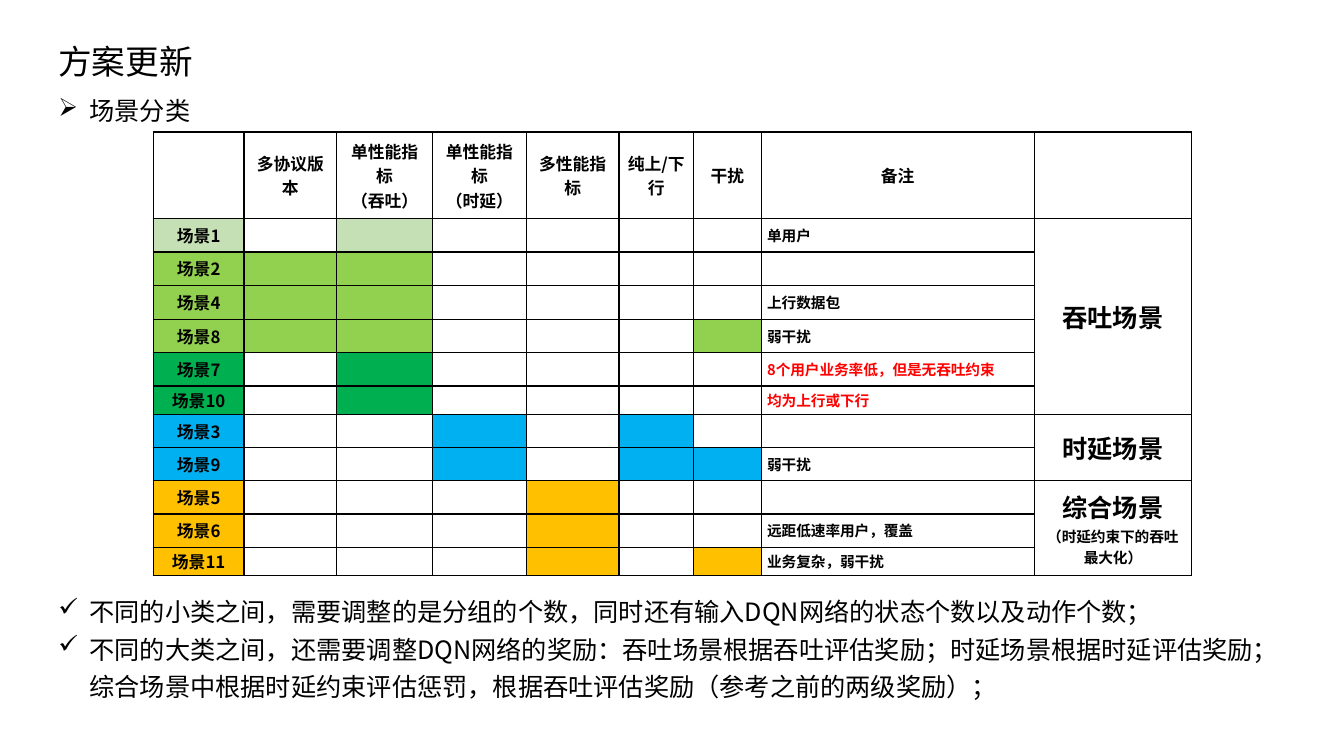
import pptx
import pptx.dml.color
import pptx.enum.text
import pptx.oxml.ns
import pptx.util
from lxml import etree

PX = 9144  # EMU per px, 100 px to the inch
FONT = "Noto Sans CJK SC"
RGBColor = pptx.dml.color.RGBColor
BLACK = RGBColor(0x00, 0x00, 0x00)
RED = RGBColor(0xFF, 0x00, 0x00)
PALE_GREEN = RGBColor(0xC5, 0xE0, 0xB4)
LIGHT_GREEN = RGBColor(0x92, 0xD0, 0x50)
GREEN = RGBColor(0x00, 0xB0, 0x50)
BLUE = RGBColor(0x00, 0xB0, 0xF0)
AMBER = RGBColor(0xFF, 0xC0, 0x00)
CENTER = pptx.enum.text.PP_ALIGN.CENTER
LEFT = pptx.enum.text.PP_ALIGN.LEFT
qn = pptx.oxml.ns.qn


def write(paragraph, text, size, bold=False, color=BLACK):
    paragraph.text = text
    for run in paragraph.runs:
        run.font.name = FONT
        run.font.size = pptx.util.Pt(size)
        run.font.bold = bold
        run.font.color.rgb = color
        etree.SubElement(run.font._element, qn("a:ea"), typeface=FONT)
    if not text:
        etree.SubElement(paragraph._p, qn("a:endParaRPr"), sz=str(int(size * 100)))


def add_text(left, top, width, height, lines, size, bullet=None, spacing=None, wrap=True):
    box = slide.shapes.add_textbox(left * PX, top * PX, width * PX, height * PX)
    frame = box.text_frame
    frame.word_wrap = wrap
    frame.auto_size = pptx.enum.text.MSO_AUTO_SIZE.SHAPE_TO_FIT_TEXT
    for index, line in enumerate(lines):
        paragraph = frame.add_paragraph() if index else frame.paragraphs[0]
        write(paragraph, line, size)
        if spacing:
            paragraph.line_spacing = spacing
        if bullet:
            properties = paragraph._p.get_or_add_pPr()
            properties.set("marL", str(31 * PX))
            properties.set("indent", str(-31 * PX))
            etree.SubElement(properties, qn("a:buChar"), char=bullet)


presentation = pptx.Presentation()
presentation.slide_width = 1333 * PX
presentation.slide_height = 750 * PX
slide = presentation.slides.add_slide(presentation.slide_layouts[6])

# Title
add_text(48, 36, 379, 50, ["方案更新"], 24)

# Table content: scenario, colour, filled columns, remark, remark colour
headers = ["", "多协议版本", "单性能指标\n（吞吐）", "单性能指标\n（时延）", "多性能指标",
           "纯上/下行", "干扰", "备注", ""]
scenarios = [
    (1, PALE_GREEN, [2], "单用户", BLACK),
    (2, LIGHT_GREEN, [1, 2], "", BLACK),
    (4, LIGHT_GREEN, [1, 2], "上行数据包", BLACK),
    (8, LIGHT_GREEN, [1, 2, 6], "弱干扰", BLACK),
    (7, GREEN, [2], "8个用户业务率低，但是无吞吐约束", RED),
    (10, GREEN, [2], "均为上行或下行", RED),
    (3, BLUE, [3, 5], "", BLACK),
    (9, BLUE, [3, 5, 6], "弱干扰", BLACK),
    (5, AMBER, [4], "", BLACK),
    (6, AMBER, [4], "远距低速率用户，覆盖", BLACK),
    (11, AMBER, [4, 6], "业务复杂，弱干扰", BLACK),
]
categories = [(1, 6, "吞吐场景"), (7, 8, "时延场景"), (9, 11, "综合场景")]
column_widths = [90, 92, 95, 93, 92, 74, 67, 271, 156]
row_heights = [86, 33, 33, 34, 33, 33, 28, 33, 33, 33, 33, 28]

# Table grid with black borders
table = slide.shapes.add_table(
    len(row_heights), len(column_widths), 152 * PX, 131 * PX,
    sum(column_widths) * PX, sum(row_heights) * PX).table
table.first_row = False
table.horz_banding = False
for column, width in zip(table.columns, column_widths):
    column.width = width * PX
for row, height in zip(table.rows, row_heights):
    row.height = height * PX
for cell in table.iter_cells():
    cell.margin_left = cell.margin_right = 6 * PX
    cell.margin_top = cell.margin_bottom = 0
    cell.vertical_anchor = pptx.enum.text.MSO_ANCHOR.MIDDLE
    for side in ("a:lnL", "a:lnR", "a:lnT", "a:lnB"):
        border = etree.SubElement(cell._tc.get_or_add_tcPr(), qn(side), w="12700")
        border_fill = etree.SubElement(border, qn("a:solidFill"))
        etree.SubElement(border_fill, qn("a:srgbClr"), val=str(BLACK))
    cell.fill.background()

# Header row
for column, header in enumerate(headers):
    frame = table.cell(0, column).text_frame
    for index, line in enumerate(header.split("\n")):
        paragraph = frame.add_paragraph() if index else frame.paragraphs[0]
        write(paragraph, line, 12, True)
        paragraph.alignment = CENTER

# Scenario rows
for row, (number, color, filled, remark, remark_color) in enumerate(scenarios, 1):
    for column in range(len(headers)):
        cell = table.cell(row, column)
        paragraph = cell.text_frame.paragraphs[0]
        if column == 0:
            write(paragraph, f"场景{number}", 12, True)
        else:
            write(paragraph, remark if column == 7 else "", 10.5, True, remark_color)
        paragraph.alignment = LEFT if column == 7 else CENTER
        if column in [0] + filled:
            cell.fill.solid()
            cell.fill.fore_color.rgb = color

# Merged category cells
for first, last, name in categories:
    cell = table.cell(first, 8)
    cell.merge(table.cell(last, 8))
    cell.text_frame.clear()
    write(cell.text_frame.paragraphs[0], name, 18, True)
    cell.text_frame.paragraphs[0].alignment = CENTER
note = table.cell(9, 8).text_frame.add_paragraph()
write(note, "（时延约束下的吞吐最大化）", 10.5, True)
note.alignment = CENTER

# Conclusions and section heading
add_text(48, 579, 1229, 120, [
    "不同的小类之间，需要调整的是分组的个数，同时还有输入DQN网络的状态个数以及动作个数；",
    "不同的大类之间，还需要调整DQN网络的奖励：吞吐场景根据吞吐评估奖励；时延场景根据时延评估奖励；"
    "综合场景中根据时延约束评估惩罚，根据吞吐评估奖励（参考之前的两级奖励）；",
], 18, "✓", 1.25)
add_text(48, 90, 153, 40, ["场景分类"], 18, "➢", wrap=False)

presentation.save("out.pptx")
